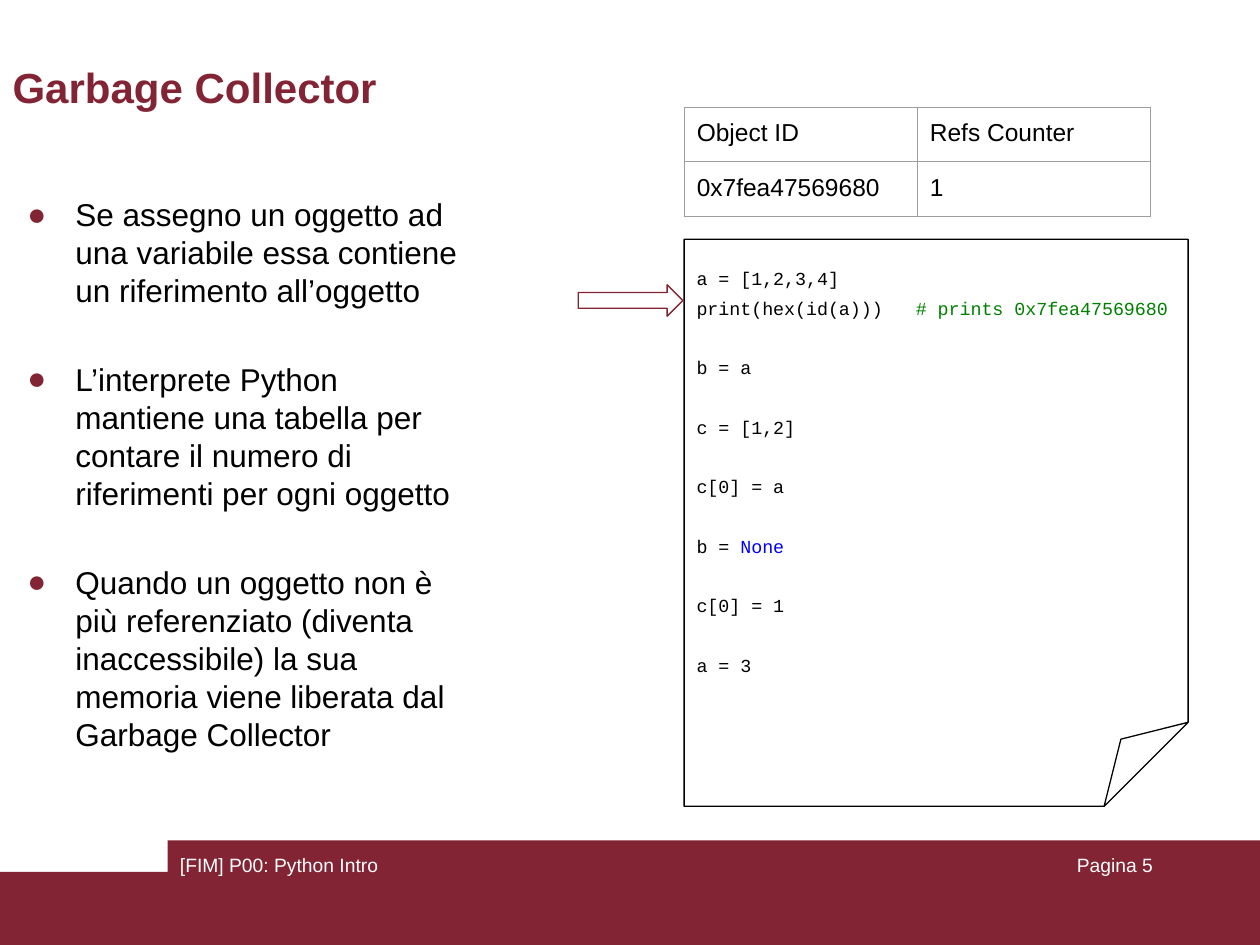
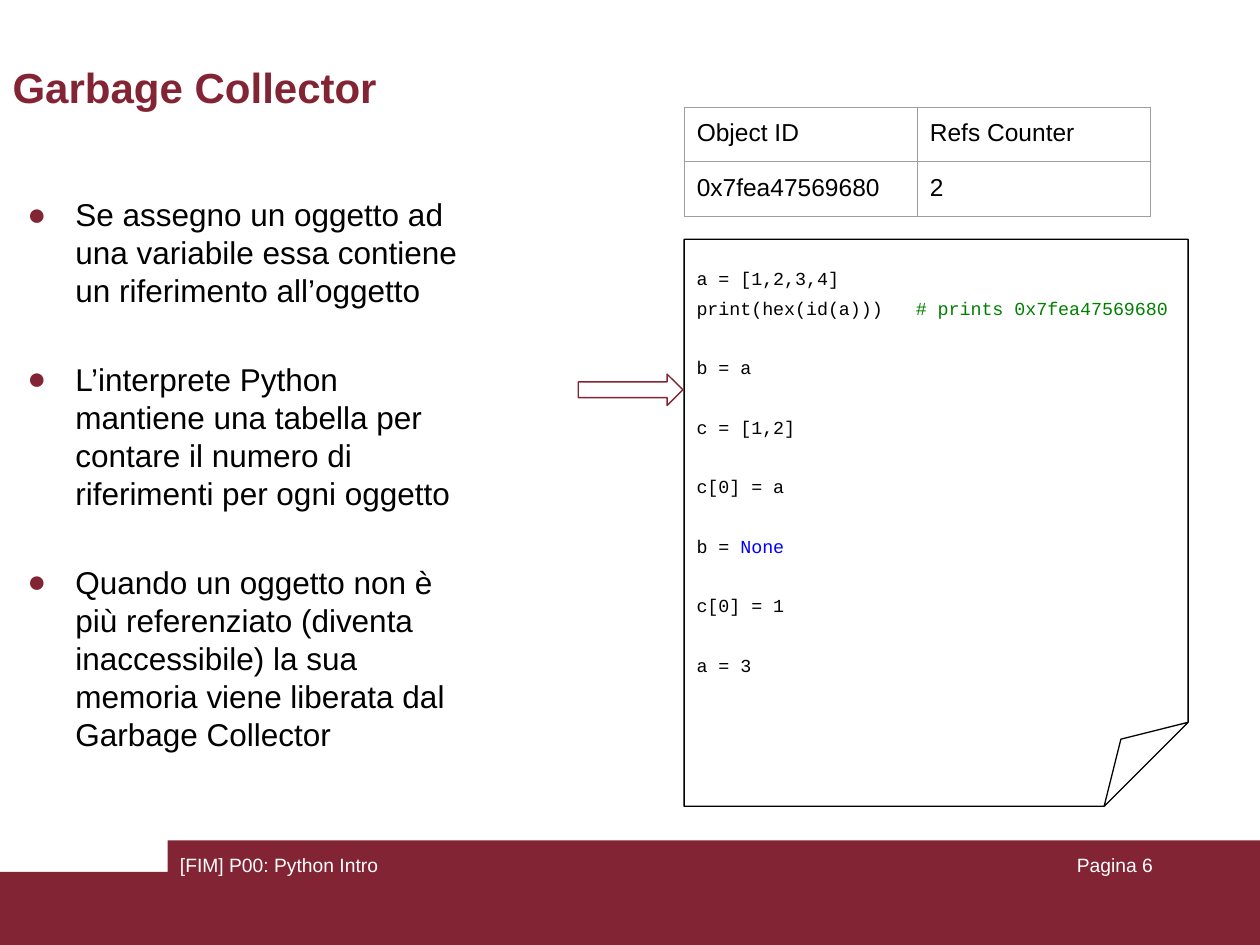
import dataclasses

import lxml.etree
import pptx
import pptx.dml.color
import pptx.enum.shapes
import pptx.enum.text
import pptx.oxml.ns
import pptx.util

Inches = pptx.util.Inches
Pt = pptx.util.Pt
qn = pptx.oxml.ns.qn
Shape = pptx.enum.shapes.MSO_SHAPE
Align = pptx.enum.text.PP_ALIGN
Anchor = pptx.enum.text.MSO_ANCHOR


@dataclasses.dataclass(frozen=True)
class Theme:
    accent: str = "822433"
    paper: str = "FFFFFF"
    ink: str = "000000"
    comment: str = "008000"
    keyword: str = "0000FF"
    grid: str = "9E9E9E"
    sans: str = "Arial"
    mono: str = "Courier New"
    title_size: float = 24
    body_size: float = 18
    table_size: float = 14
    footer_size: float = 11
    code_size: float = 10.5
    body_line: float = 21.7
    body_gap: float = 28.9
    code_line: float = 17
    hairline: float = 0.75


THEME = Theme()

TITLE_BOX = (0, 0.41, 8.27, 0.55)
BULLETS_BOX = (0, 1.5, 3.8, 4.5)
TABLE_BOX = (5.43, 0.85, 3.7, 0.84)
CODE_BOX = (5.43, 1.9, 4, 4.5)
ARROW_BOX = (4.59, 2.26, 0.83, 0.25)
FOOTER_BOX = (0, 6.67, 10, 0.83)

BULLETS = [
    "Se assegno un oggetto ad una variabile essa contiene un riferimento all’oggetto",
    "L’interprete Python mantiene una tabella per contare il numero di riferimenti per ogni oggetto",
    "Quando un oggetto non è più referenziato (diventa inaccessibile) la sua memoria viene liberata "
    "dal Garbage Collector",
]

# Each statement is a list of lines; each line is a list of (text, colour).
STATEMENTS = [
    [
        [("a = [1,2,3,4]", THEME.ink)],
        [("print(hex(id(a)))   ", THEME.ink), ("# prints 0x7fea47569680", THEME.comment)],
    ],
    [[("b = a", THEME.ink)]],
    [[("c = [1,2]", THEME.ink)]],
    [[("c[0] = a", THEME.ink)]],
    [[("b = ", THEME.ink), ("None", THEME.keyword)]],
    [[("c[0] = 1", THEME.ink)]],
    [[("a = 3", THEME.ink)]],
]

# Page number, reference count, code lines the arrow has advanced.
STEPS = [(5, 1, 0), (6, 2, 3)]


def rgb(colour):
    return pptx.dml.color.RGBColor.from_string(colour)


def lengths(box):
    return [Inches(value) for value in box]


def add_span(para, text, size, colour, font=THEME.sans, bold=False):
    span = para.add_run()
    span.text = text
    span.font.name = font
    span.font.size = Pt(size)
    span.font.bold = bold
    span.font.color.rgb = rgb(colour)


def set_insets(frame, side=0.1, top=0.05):
    frame.margin_left = frame.margin_right = Inches(side)
    frame.margin_top = frame.margin_bottom = Inches(top)
    frame.word_wrap = True


def next_para(frame, is_first):
    return frame.paragraphs[0] if is_first else frame.add_paragraph()


def add_plain_shape(page, kind, box, fill=None, line=None):
    shape = page.shapes.add_shape(kind, *lengths(box))
    shape.shadow.inherit = False
    if fill:
        shape.fill.solid()
        shape.fill.fore_color.rgb = rgb(fill)
    else:
        shape.fill.background()
    if line:
        shape.line.color.rgb = rgb(line)
        shape.line.width = Pt(THEME.hairline)
    else:
        shape.line.fill.background()
    return shape


def add_footer(page, box, page_number):
    left, top, width, height = box
    tab_left, step_down = left + 1.33, 0.25
    add_plain_shape(page, Shape.RECTANGLE, (left, top + step_down, width, height - step_down), THEME.accent)
    add_plain_shape(page, Shape.RECTANGLE, (tab_left, top, width - 1.33, height), THEME.accent)
    labels = [
        ("[FIM] P00: Python Intro", tab_left, 3.17, Align.LEFT),
        (f"Pagina {page_number}", left + 7.17, 2.08, Align.RIGHT),
    ]
    for text, label_left, label_width, align in labels:
        frame = page.shapes.add_textbox(*lengths((label_left, top + 0.05, label_width, 0.5))).text_frame
        set_insets(frame)
        frame.paragraphs[0].alignment = align
        add_span(frame.paragraphs[0], text, THEME.footer_size, THEME.paper)


def set_title(page, box, text):
    title = page.shapes.title
    title.left, title.top, title.width, title.height = lengths(box)
    frame = title.text_frame
    set_insets(frame)
    frame.auto_size = pptx.enum.text.MSO_AUTO_SIZE.NONE
    frame.vertical_anchor = Anchor.MIDDLE
    frame.paragraphs[0].alignment = Align.LEFT
    add_span(frame.paragraphs[0], text, THEME.title_size, THEME.accent, bold=True)


def add_bullet_mark(para):
    props = para._p.get_or_add_pPr()
    props.set("marL", str(Inches(0.5)))
    props.set("indent", str(Inches(-0.38)))
    colour = lxml.etree.SubElement(props, qn("a:buClr"))
    lxml.etree.SubElement(colour, qn("a:srgbClr"), val=THEME.accent)
    lxml.etree.SubElement(props, qn("a:buFont"), typeface=THEME.sans)
    lxml.etree.SubElement(props, qn("a:buChar"), char="●")


def add_bullets(page, box, items):
    frame = page.shapes.add_textbox(*lengths(box)).text_frame
    set_insets(frame)
    for index, item in enumerate(items):
        para = next_para(frame, index == 0)
        add_bullet_mark(para)
        para.line_spacing = Pt(THEME.body_line)
        if index:
            para.space_before = Pt(THEME.body_gap)
        add_span(para, item, THEME.body_size, THEME.ink)


def set_cell_borders(cell):
    props = cell._tc.get_or_add_tcPr()
    for position, side in enumerate(("lnL", "lnR", "lnT", "lnB")):
        line = lxml.etree.Element(qn(f"a:{side}"), w=str(Pt(THEME.hairline)))
        fill = lxml.etree.SubElement(line, qn("a:solidFill"))
        lxml.etree.SubElement(fill, qn("a:srgbClr"), val=THEME.grid)
        props.insert(position, line)


def add_reference_table(page, box, rows):
    table = page.shapes.add_table(len(rows), len(rows[0]), *lengths(box)).table
    table.first_row = table.horz_banding = False
    for row_index, row in enumerate(rows):
        for column_index, text in enumerate(row):
            cell = table.cell(row_index, column_index)
            cell.margin_left = cell.margin_right = Inches(0.1)
            cell.margin_top = cell.margin_bottom = Inches(0.1)
            cell.fill.background()
            set_cell_borders(cell)
            add_span(cell.text_frame.paragraphs[0], text, THEME.table_size, THEME.ink)


def add_code_sheet(page, box, statements):
    sheet = add_plain_shape(page, Shape.FOLDED_CORNER, box, line=THEME.ink)
    frame = sheet.text_frame
    set_insets(frame, top=0.16)
    frame.vertical_anchor = Anchor.TOP
    for statement_index, statement in enumerate(statements):
        for line_index, line in enumerate(statement):
            para = next_para(frame, statement_index == line_index == 0)
            para.alignment = Align.LEFT
            para.line_spacing = Pt(THEME.code_line)
            if statement_index and line_index == 0:
                para.space_before = Pt(THEME.code_line)
            for text, colour in line:
                add_span(para, text, THEME.code_size, colour, THEME.mono)


def add_step_arrow(page, box, lines_down):
    left, top, width, height = box
    top += lines_down * THEME.code_line / 72
    add_plain_shape(page, Shape.RIGHT_ARROW, (left, top, width, height), line=THEME.accent)


def add_collector_page(deck, page_number, reference_count, lines_down):
    page = deck.slides.add_slide(deck.slide_layouts.get_by_name("Title Only"))
    add_footer(page, FOOTER_BOX, page_number)
    set_title(page, TITLE_BOX, "Garbage Collector")
    add_bullets(page, BULLETS_BOX, BULLETS)
    rows = [("Object ID", "Refs Counter"), ("0x7fea47569680", str(reference_count))]
    add_reference_table(page, TABLE_BOX, rows)
    add_code_sheet(page, CODE_BOX, STATEMENTS)
    add_step_arrow(page, ARROW_BOX, lines_down)


def main():
    deck = pptx.Presentation()
    deck.slide_width, deck.slide_height = Inches(10), Inches(7.5)
    for step in STEPS:
        add_collector_page(deck, *step)
    deck.save("out.pptx")


if __name__ == "__main__":
    main()
